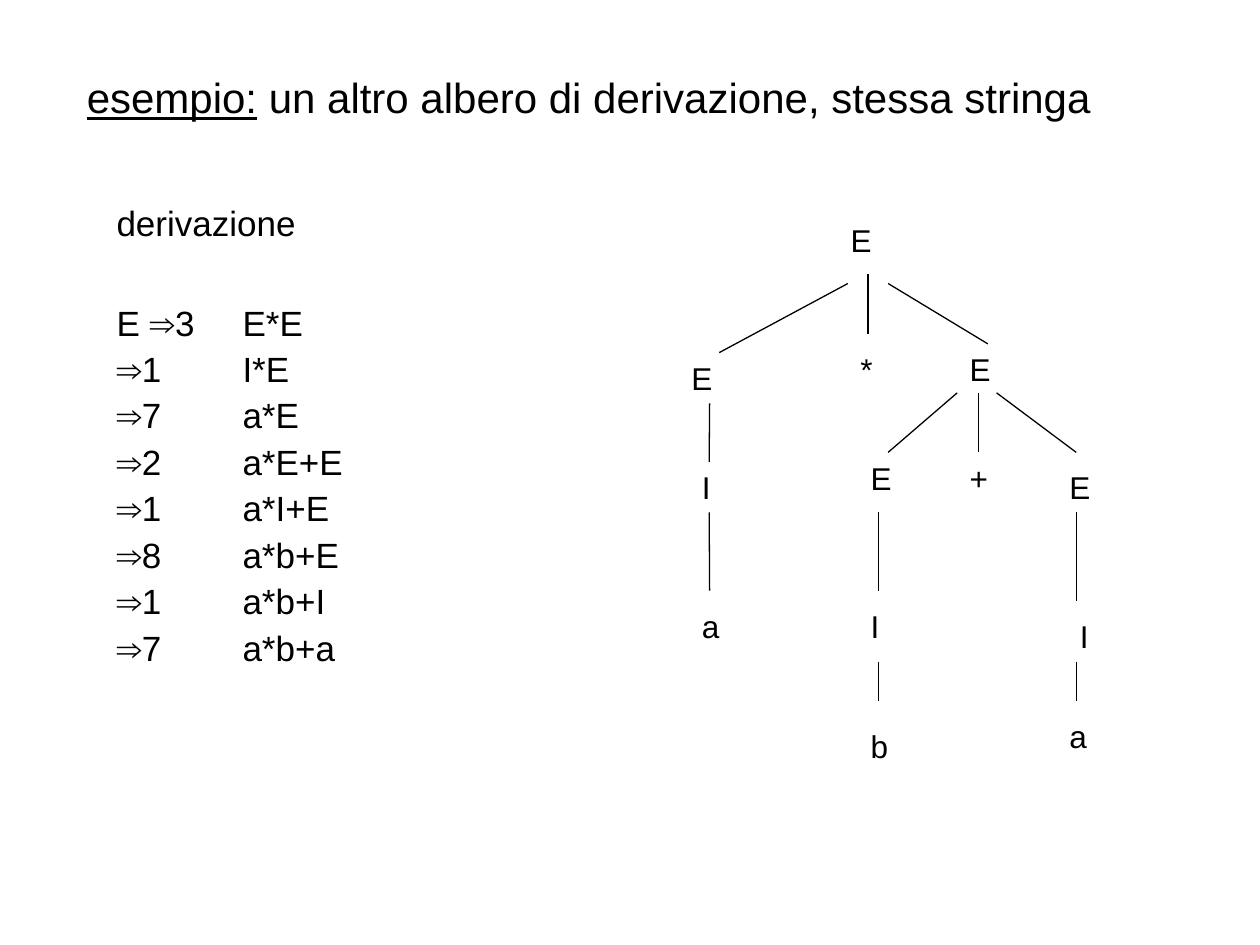
from lxml import etree
from pptx import Presentation
from pptx.dml.color import RGBColor
from pptx.enum.shapes import MSO_CONNECTOR
from pptx.enum.text import MSO_AUTO_SIZE
from pptx.oxml.ns import qn
from pptx.util import Pt

LINE = MSO_CONNECTOR.STRAIGHT
GROW = MSO_AUTO_SIZE.SHAPE_TO_FIT_TEXT
TOP, BOTTOM = 0, 2
BLACK = "000000"


def color(code):
    return RGBColor.from_string(code)


def write(par, text, size, under=False):
    run = par.add_run()
    run.text = text
    font = run.font
    font.name = "Arial"
    font.size = Pt(size)
    font.underline = under
    font.color.rgb = color(BLACK)


deck = Presentation()
deck.slide_width, deck.slide_height = Pt(720), Pt(540)
slide = deck.slides.add_slide(deck.slide_layouts[6])
shapes = slide.shapes

title = shapes.add_textbox(Pt(42.5), Pt(37.5), Pt(652.5), Pt(39.5)).text_frame
title.word_wrap = True
par = title.paragraphs[0]
write(par, "esempio:", 24, True)
write(par, " un altro albero di derivazione, stessa stringa", 24)

steps = [
    ("E ⇒3", "E*E"), ("⇒1", "I*E"), ("⇒7", "a*E"), ("⇒2", "a*E+E"),
    ("⇒1", "a*I+E"), ("⇒8", "a*b+E"), ("⇒1", "a*b+I"), ("⇒7", "a*b+a"),
]
proof = shapes.add_textbox(Pt(59.5), Pt(111.5), Pt(181.5), Pt(289.5)).text_frame
proof.word_wrap = True
write(proof.paragraphs[0], "derivazione", 20)
for row, (rule, form) in enumerate(steps):
    par = proof.add_paragraph()
    par.space_before = Pt(5 if row else 33)
    par.line_spacing = 0.9 if row else 1.0
    tabs = etree.SubElement(par._p.get_or_add_pPr(), qn("a:tabLst"))
    etree.SubElement(tabs, qn("a:tab"), pos=str(Pt(72)), algn="l")
    write(par, f"{rule}\t{form}", 20)

nodes = [
    ("root", "E", 479, 122.5, 28),
    ("left", "E", 388, 201.5, 28),
    ("times", "*", 484.5, 196.5, 23),
    ("right", "E", 547, 196.5, 28),
    ("left I", "I", 394, 264, 22.5),
    ("left a", "a", 394, 343.5, 28),
    ("mid E", "E", 490.5, 258.5, 22.5),
    ("plus", "+", 547, 258.5, 28),
    ("last E", "E", 604, 264, 28),
    ("mid I", "I", 490.5, 343.5, 28),
    ("mid b", "b", 490.5, 412, 28),
    ("last I", "I", 610, 349, 28),
    ("last a", "a", 604, 406, 28),
]
boxes = {}
for name, text, left, top, width in nodes:
    box = shapes.add_textbox(Pt(left), Pt(top), Pt(width), Pt(28.8))
    box.text_frame.word_wrap = True
    box.text_frame.auto_size = GROW
    write(box.text_frame.paragraphs[0], text, 18)
    boxes[name] = box

edges = [
    (484.5, 162, 411, 201.5, None, None),
    (496, 156.5, 496, 191, None, None),
    (507.5, 162, 564.5, 196.5, None, None),
    (547, 224.5, 507.5, 258.5, None, None),
    (559, 224.5, 559, 258.5, None, None),
    (569.5, 224.5, 615, 258.5, None, None),
    (405.5, 230.5, 405.5, 264, None, "left I"),
    (405.5, 292.5, 405.5, 337.5, "left I", None),
    (502, 292.5, 502, 337.5, None, None),
    (615, 292.5, 615, 343.5, None, None),
    (502, 378, 502, 400.5, None, None),
    (615, 378, 615, 400.5, None, None),
]
for x1, y1, x2, y2, start, end in edges:
    edge = shapes.add_connector(LINE, Pt(x1), Pt(y1), Pt(x2), Pt(y2))
    edge.line.color.rgb = color(BLACK)
    edge.line.width = Pt(0.75)
    etree.SubElement(edge._element.spPr, qn("a:effectLst"))
    if start:
        edge.begin_connect(boxes[start], BOTTOM)
    if end:
        edge.end_connect(boxes[end], TOP)

deck.save("out.pptx")
